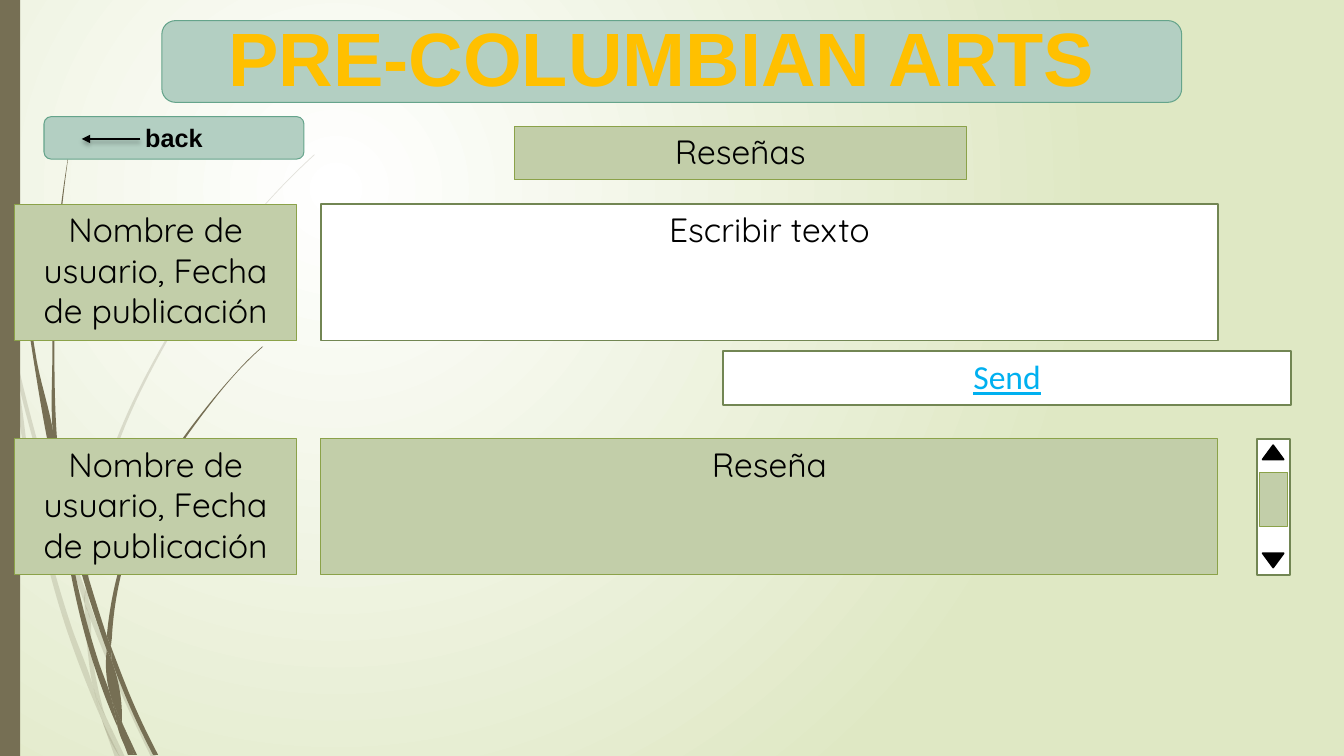
"""Build the reviews page of the Pre-Columbian Arts site mock-up."""
from lxml import etree
from pptx import Presentation
from pptx.dml.color import RGBColor
from pptx.enum.shapes import MSO_CONNECTOR, MSO_SHAPE
from pptx.enum.text import MSO_ANCHOR, PP_ALIGN
from pptx.oxml.ns import qn
from pptx.util import Cm, Pt

RECT, ROUNDED, TRIANGLE = MSO_SHAPE.RECTANGLE, MSO_SHAPE.ROUNDED_RECTANGLE, MSO_SHAPE.ISOSCELES_TRIANGLE
STRAIGHT = MSO_CONNECTOR.STRAIGHT
TOP, MIDDLE, BOTTOM = MSO_ANCHOR.TOP, MSO_ANCHOR.MIDDLE, MSO_ANCHOR.BOTTOM
CENTER = PP_ALIGN.CENTER

WHITE = RGBColor(0xFF, 0xFF, 0xFF)
BLACK = RGBColor(0x00, 0x00, 0x00)
PALE_GREEN = RGBColor(0xDF, 0xE8, 0xC4)
BROWN = RGBColor(0x76, 0x6F, 0x54)
SAGE = RGBColor(0xC2, 0xCE, 0xA9)
OLIVE = RGBColor(0x8B, 0xA2, 0x49)
MOSS = RGBColor(0x72, 0x86, 0x53)
MINT = RGBColor(0xB3, 0xCF, 0xC2)
TEAL = RGBColor(0x65, 0xA4, 0x8B)
GOLD = RGBColor(0xFF, 0xC0, 0x00)
SKY = RGBColor(0x00, 0xB0, 0xF0)

SLIDE_SIZE = (33.87, 19.05)
STRAND_UNIT = 0.0254
STRAND_DETAIL = 100

FAINT_STRANDS = [
    ([(11, 350), (9, 322), (0, 282)], [(0, 299), (10, 344)]),
    ([(17, 376), (58, 522), (84, 599)], [(85, 586), (62, 520), (14, 345)]),
    ([(155, 751), (127, 692), (92, 607), (88, 596)], [(88, 610), (123, 694), (150, 751)]),
    ([(124, 751), (105, 711)], [(119, 751)]),
    ([(101, 714), (99, 707), (93, 683), (70, 619), (31, 469), (17, 376), (11, 350)],
     [(11, 350), (28, 470), (65, 621), (92, 693), (101, 714)]),
    ([(84, 599), (87, 646), (93, 683), (96, 692), (105, 711)],
     [(103, 706), (91, 646), (88, 608), (84, 599)]),
    ([(88, 596), (88, 584), (110, 462), (160, 349), (229, 245), (268, 198), (290, 175), (312, 154)],
     [(312, 153), (289, 175), (268, 197), (228, 244), (158, 348), (107, 461), (85, 584), (85, 586)]),
    ([(101, 714), (114, 751)], [(119, 751)]),
    ([(88, 610), (88, 596)], [(85, 586), (84, 599), (88, 608)]),
    ([(93, 683), (99, 707), (101, 714), (119, 751)], [(105, 711), (96, 692)]),
]
DARK_STRANDS = [
    ([(3, 0), (4, 48), (7, 110), (17, 233), (33, 355), (56, 477), (57, 481)],
     [(55, 457), (55, 453), (36, 355), (19, 232), (8, 109), (5, 48), (4, 0)]),
    ([(64, 505), (88, 592), (106, 645)], [(106, 631), (93, 590), (60, 472)]),
    ([(157, 749), (136, 706), (113, 649), (110, 641)], [(111, 656), (132, 708), (152, 749)]),
    ([(117, 722), (116, 717), (110, 691), (98, 657), (72, 556), (64, 505), (57, 477)],
     [(57, 477), (68, 557), (93, 659), (111, 708), (117, 722)]),
    ([(60, 472), (58, 453), (54, 349), (58, 245), (63, 193), (70, 141)],
     [(70, 141), (62, 193), (56, 245), (52, 349), (55, 449), (60, 472)]),
    ([(136, 749), (122, 719)], [(133, 749)]),
    ([(111, 633), (125, 552), (158, 476), (205, 406), (231, 374), (245, 359), (261, 344)],
     [(260, 344), (245, 358), (231, 373), (204, 405), (156, 474), (122, 551), (106, 631)],
     [(110, 641)]),
    ([(117, 722), (127, 749)], [(131, 749)]),
    ([(106, 645), (110, 691), (116, 706), (122, 719)], [(121, 716), (111, 656), (109, 651)]),
    ([(106, 645), (109, 651), (111, 656)], [(110, 641), (106, 631)]),
    ([(110, 691), (116, 717), (117, 722), (130, 749)], [(133, 749), (122, 719), (116, 706)]),
]
STRAND_GROUPS = [(FAINT_STRANDS, 20), (DARK_STRANDS, 100)]

FILLED = (SAGE, OLIVE, 0.75)
FIELD = (WHITE, MOSS, 1.25)
BUTTON = (MINT, TEAL, 0.75)
MARKER = (BLACK, BLACK, 1.25)
BODY = ("Quicksand", 24, BLACK, False, False)
LINK = ("Calibri", 24, SKY, False, True)
LABEL = ("Arial", 18, BLACK, True, False)
HEADING = ("Arial", 54, GOLD, True, False)

AUTHOR = "Nombre de usuario, Fecha de publicación"
ROW_HEIGHT = 3.43
AUTHOR_LEFT, AUTHOR_WIDTH = 0.37, 7.1
REVIEW_LEFT, REVIEW_WIDTH = 8.09, 22.6
REVIEW_ROWS = [(5.15, "Escribir texto", FIELD), (11.06, "Reseña", FILLED)]
SEND_BOX = (18.23, 8.85, 14.3, 1.35)
SECTION_BOX = (12.96, 3.18, 11.39, 1.35)
SCROLL_PARTS = [
    (RECT, (31.67, 11.06, 0.84, 3.43), FIELD, 0),
    (RECT, (31.74, 11.91, 0.71, 1.35), FILLED, 0),
    (TRIANGLE, (31.82, 13.94, 0.53, 0.36), MARKER, 180),
    (TRIANGLE, (31.82, 11.22, 0.53, 0.36), MARKER, 0),
]
TITLE_PANEL = (4.08, 0.52, 25.7, 2.06)
TITLE_BOX = (4.63, 0.85, 24.61, 1.73)
BACK_BUTTON = (1.11, 2.94, 6.55, 1.07)
BACK_ARROW = (3.54, 3.5, 2.06, 3.5)


def lengths(values):
    return [Cm(value) for value in values]


def child(parent, tag, **attributes):
    return etree.SubElement(parent, qn(tag), {key: str(value) for key, value in attributes.items()})


def directions(points):
    """Return the unit tangent at each point, given as complex numbers."""
    chords = [end - start for start, end in zip(points, points[1:])]
    inner = [a / abs(a) ** 2 + b / abs(b) ** 2 for a, b in zip(chords, chords[1:])]
    inner = [tangent / abs(tangent) for tangent in inner]
    first, last = chords[0] / abs(chords[0]), chords[-1] / abs(chords[-1])
    if not inner:
        return [first, last]
    return [first ** 2 * inner[0].conjugate(), *inner, last ** 2 * inner[-1].conjugate()]


def paint_background(page):
    fill = page.background.fill
    fill.gradient()
    for stop, color in zip(fill.gradient_stops, (WHITE, PALE_GREEN)):
        stop.color.rgb = color
    gradient = page.element.find(".//" + qn("a:gradFill"))
    circle = etree.Element(qn("a:path"), {"path": "circle"})
    child(circle, "a:fillToRect", l=50000, t=50000, r=100000, b=100000)
    gradient.replace(gradient.find(qn("a:lin")), circle)


def draw_command(outline, tag, points, origin):
    command = child(outline, tag)
    for point in points:
        local = (point - origin) * STRAND_DETAIL
        child(command, "a:pt", x=round(local.real), y=round(local.imag))


def add_strand(page, edges, opacity):
    corners = [(x * STRAND_DETAIL, y * STRAND_DETAIL) for edge in edges for x, y in edge]
    builder = page.shapes.build_freeform(*corners[0], scale=Cm(STRAND_UNIT) / STRAND_DETAIL)
    builder.add_line_segments(corners[1:], close=True)
    strand = builder.convert_to_shape()
    strand.shadow.inherit = False
    strand.fill.solid()
    strand.fill.fore_color.rgb = BROWN
    strand.line.fill.background()
    if opacity < 100:
        color = strand.element.spPr.find(qn("a:solidFill")).find(qn("a:srgbClr"))
        child(color, "a:alpha", val=opacity * 1000)
    origin = complex(*(min(values) for values in zip(*corners))) / STRAND_DETAIL
    outline = strand.element.find(".//" + qn("a:path"))
    for command in list(outline):
        outline.remove(command)
    pen = None
    for edge in edges:
        points = [complex(x, y) for x, y in edge]
        if pen != points[0]:
            draw_command(outline, "a:moveTo" if pen is None else "a:lnTo", points[:1], origin)
        if len(points) > 1:
            tangents = directions(points)
            for start, end, leave, arrive in zip(points, points[1:], tangents, tangents[1:]):
                reach = abs(end - start) / 3
                curve = [start + leave * reach, end - arrive * reach, end]
                draw_command(outline, "a:cubicBezTo", curve, origin)
        pen = points[-1]
    child(outline, "a:close")


def add_box(page, kind, place, look):
    fill, line, width = look
    box = page.shapes.add_shape(kind, *lengths(place))
    box.shadow.inherit = False
    box.fill.solid()
    box.fill.fore_color.rgb = fill
    if width:
        box.line.color.rgb = line
        box.line.width = Pt(width)
    else:
        box.line.fill.background()
    return box


def write(box, text, style, anchor=TOP):
    frame = box.text_frame
    frame.word_wrap = True
    frame.vertical_anchor = anchor
    frame.text = text
    para = frame.paragraphs[0]
    para.alignment = CENTER
    font = para.runs[0].font
    font.name, size, font.color.rgb, font.bold, font.underline = style
    font.size = Pt(size)


def add_arrow(page):
    arrow = page.shapes.add_connector(STRAIGHT, *lengths(BACK_ARROW))
    arrow.line.color.rgb = BLACK
    arrow.line.width = Pt(1.75)
    properties = arrow.element.spPr if hasattr(arrow, "element") else None
    child(properties.find(qn("a:ln")), "a:tailEnd", type="triangle")
    effects = child(properties, "a:effectLst")
    shadow = child(effects, "a:outerShdw", blurRad=Pt(3), dist=Pt(2), dir=5400000, rotWithShape=0)
    child(child(shadow, "a:srgbClr", val=BLACK), "a:alpha", val=25000)


def main():
    deck = Presentation()
    deck.slide_width, deck.slide_height = lengths(SLIDE_SIZE)
    page = deck.slides.add_slide(deck.slide_layouts[6])
    paint_background(page)
    for strands, opacity in STRAND_GROUPS:
        for edges in strands:
            add_strand(page, edges, opacity)
    add_box(page, RECT, (0, 0, 0.51, SLIDE_SIZE[1]), (BROWN, BROWN, 0))
    write(add_box(page, RECT, SECTION_BOX, FILLED), "Reseñas", BODY)
    for top, text, look in REVIEW_ROWS:
        write(add_box(page, RECT, (REVIEW_LEFT, top, REVIEW_WIDTH, ROW_HEIGHT), look), text, BODY)
        write(add_box(page, RECT, (AUTHOR_LEFT, top, AUTHOR_WIDTH, ROW_HEIGHT), FILLED), AUTHOR, BODY)
    write(add_box(page, RECT, SEND_BOX, FIELD), "Send", LINK)
    for kind, place, look, turn in SCROLL_PARTS:
        add_box(page, kind, place, look).rotation = turn
    add_box(page, ROUNDED, TITLE_PANEL, BUTTON)
    title = page.shapes.add_textbox(*lengths(TITLE_BOX))
    write(title, "PRE-COLUMBIAN ARTS ", HEADING, BOTTOM)
    title.text_frame.margin_bottom = 0
    title.text_frame.paragraphs[0].line_spacing = 0.9
    write(add_box(page, ROUNDED, BACK_BUTTON, BUTTON), "back", LABEL, MIDDLE)
    add_arrow(page)
    deck.save("out.pptx")


if __name__ == "__main__":
    main()
